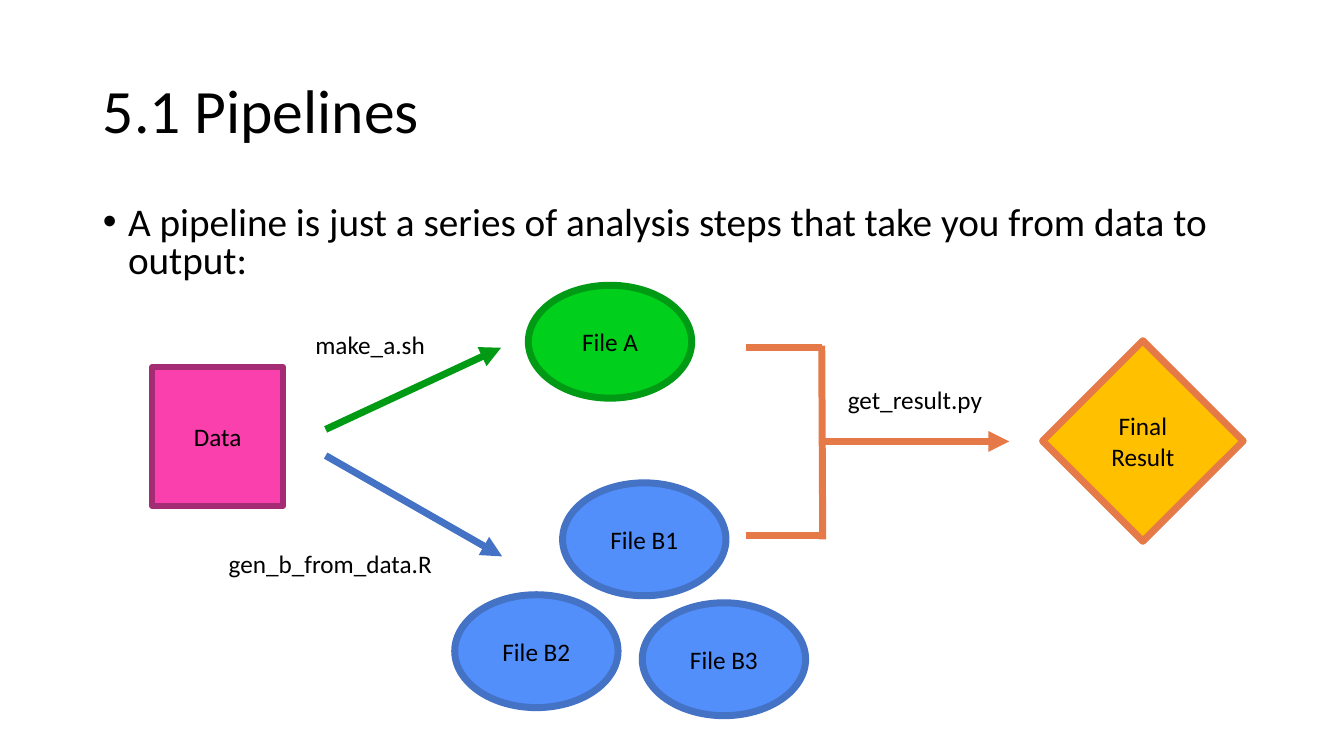
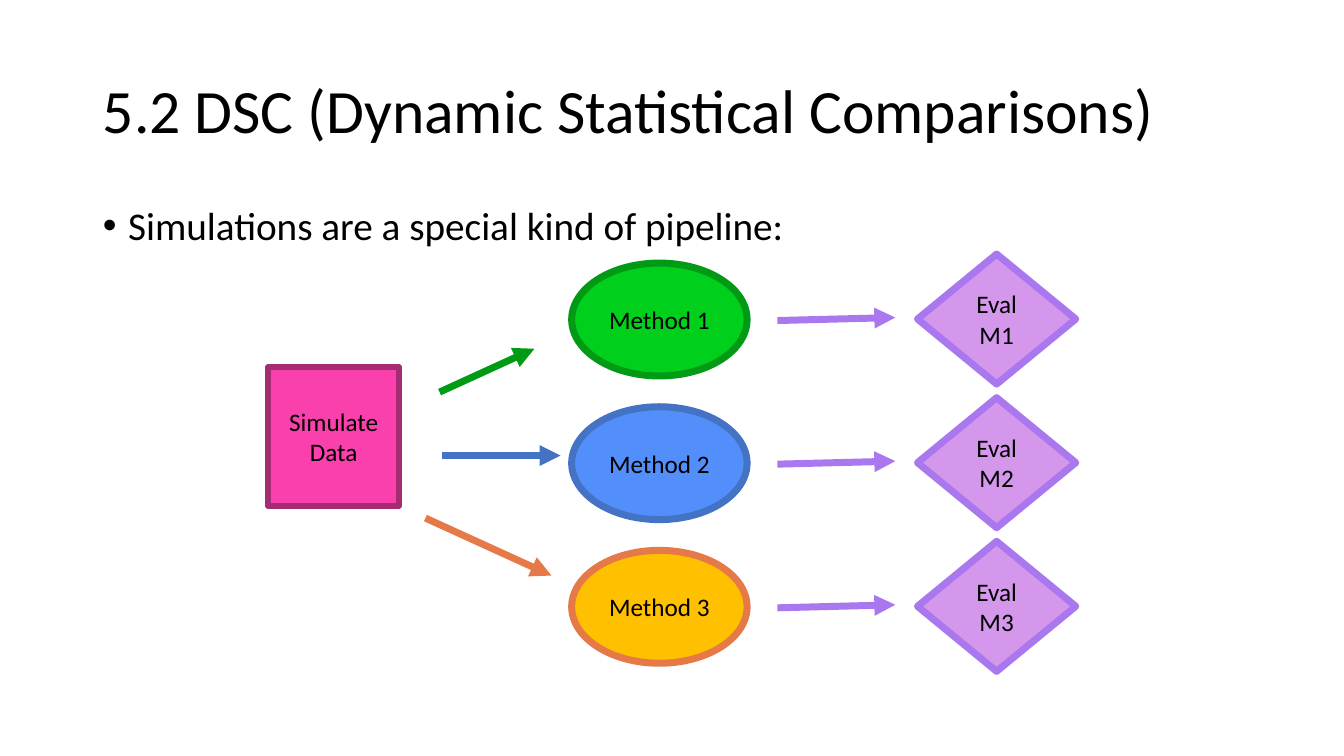
from lxml import etree
from pptx import Presentation
from pptx.dml.color import RGBColor
from pptx.enum.shapes import MSO_CONNECTOR, MSO_SHAPE
from pptx.enum.text import MSO_ANCHOR, MSO_AUTO_SIZE, PP_ALIGN
from pptx.oxml.ns import qn
from pptx.util import Inches, Pt

RECT, OVAL, DIAMOND = MSO_SHAPE.RECTANGLE, MSO_SHAPE.OVAL, MSO_SHAPE.DIAMOND
STRAIGHT = MSO_CONNECTOR.STRAIGHT
LEFT, CENTER = PP_ALIGN.LEFT, PP_ALIGN.CENTER
TOP, MIDDLE = MSO_ANCHOR.TOP, MSO_ANCHOR.MIDDLE
NO_FIT, GROW = MSO_AUTO_SIZE.NONE, MSO_AUTO_SIZE.SHAPE_TO_FIT_TEXT

FONT = "Calibri"
BLACK = RGBColor(0x00, 0x00, 0x00)
DARK_GREEN = RGBColor(0x00, 0x9A, 0x15)
DARK_BLUE = RGBColor(0x44, 0x72, 0xC4)
ORANGE = RGBColor(0xE5, 0x7A, 0x48)
PURPLE = RGBColor(0xA9, 0x78, 0xEE)
# Each pair is a fill and its outline.
PINK_BOX = (RGBColor(0xFA, 0x40, 0xAC), RGBColor(0xA4, 0x2C, 0x74))
GREEN_BOX = (RGBColor(0x00, 0xCF, 0x1B), DARK_GREEN)
BLUE_BOX = (RGBColor(0x52, 0x8F, 0xFB), DARK_BLUE)
GOLD_BOX = (RGBColor(0xFF, 0xC0, 0x00), ORANGE)
PURPLE_BOX = (RGBColor(0xD4, 0x97, 0xEC), PURPLE)

DATA_SIZE = (1.3, 1.38)
FILE_SIZE = (1.62, 1.12)
METHOD_SIZE = (1.74, 1.12)
EVAL_SIZE = (1.57, 1.29)


def write(sp, text, size=18, align=LEFT, anchor=TOP, wrap=True, fit=NO_FIT,
          spacing=None, before=None):
    """Fill a shape with text, one paragraph per line."""
    tf = sp.text_frame
    tf.word_wrap, tf.auto_size, tf.vertical_anchor = wrap, fit, anchor
    for i, line in enumerate(text.split("\n")):
        p = tf.add_paragraph() if i else tf.paragraphs[0]
        p.alignment, p.line_spacing = align, spacing
        if before is not None:
            p.space_before = Pt(before)
        r = p.add_run()
        r.text = line
        r.font.name, r.font.size, r.font.color.rgb = FONT, Pt(size), BLACK


def place(sp, left, top, width, height):
    """Move a placeholder to a box given in inches."""
    sp.left, sp.top = Inches(left), Inches(top)
    sp.width, sp.height = Inches(width), Inches(height)


def add_page(prs, title, bullet, body_box, spacing):
    """Add a slide with its title and one bullet; return the slide."""
    s = prs.slides.add_slide(prs.slide_layouts[1])
    heading, body = s.shapes.title, s.placeholders[1]
    place(heading, 0.92, 0.4, 11.5, 1.45)
    write(heading, title, size=44, anchor=MIDDLE, spacing=0.9)
    place(body, *body_box)
    write(body, bullet, size=28, spacing=spacing, before=10)
    pPr = body.text_frame.paragraphs[0]._p.get_or_add_pPr()
    pPr.set("marL", str(Inches(0.25)))
    pPr.set("indent", str(-Inches(0.25)))
    return s


def add_node(group, kind, left, top, size, colors, text, weight=5):
    """Add an outlined shape with centred text."""
    sp = group.shapes.add_shape(kind, Inches(left), Inches(top),
                                Inches(size[0]), Inches(size[1]))
    sp.shadow.inherit = False
    sp.fill.solid()
    sp.fill.fore_color.rgb, sp.line.color.rgb = colors
    sp.line.width = Pt(weight)
    write(sp, text, align=CENTER, anchor=MIDDLE)


def add_line(group, x1, y1, x2, y2, color, arrow=True):
    """Add a straight line, with an arrowhead at its end by default."""
    c = group.shapes.add_connector(STRAIGHT, Inches(x1), Inches(y1),
                                   Inches(x2), Inches(y2))
    c.line.color.rgb, c.line.width = color, Pt(5)
    spPr = c._element.spPr
    if arrow:
        etree.SubElement(spPr.find(qn("a:ln")), qn("a:tailEnd"), type="triangle")
    etree.SubElement(spPr, qn("a:effectLst"))


def add_label(group, left, top, width, text):
    """Add a one-line script name."""
    sp = group.shapes.add_textbox(Inches(left), Inches(top),
                                  Inches(width), Inches(0.4))
    write(sp, text, wrap=False, fit=GROW)


def draw_pipeline(s, x, y):
    """Draw the data, files and result flow from its top left corner."""
    g = s.shapes.add_group_shape()
    add_node(g, RECT, x, y + 0.81, DATA_SIZE, PINK_BOX, "Data", weight=4)
    for dx, dy, colors, text in [
            (3.73, 0, GREEN_BOX, "File A"), (3, 3.07, BLUE_BOX, "File B2"),
            (4.07, 1.96, BLUE_BOX, "File B1"), (4.86, 3.15, BLUE_BOX, "File B3")]:
        add_node(g, OVAL, x + dx, y + dy, FILE_SIZE, colors, text)
    for x1, y1, x2, y2, color, arrow in [
            (1.72, 1.43, 3.46, 0.62, DARK_GREEN, True),
            (1.72, 1.69, 3.47, 2.69, DARK_BLUE, True),
            (6.65, 1.55, 8.5, 1.55, ORANGE, True),
            (5.89, 0.62, 6.64, 0.62, ORANGE, False),
            (6.64, 0.6, 6.65, 2.52, ORANGE, False),
            (5.89, 2.48, 6.64, 2.48, ORANGE, False)]:
        add_line(g, x + x1, y + y1, x + x2, y + y2, color, arrow)
    for dx, dy, width, text in [(1.52, 0.39, 1.3, "make_a.sh"),
                                (0.66, 2.56, 2.24, "gen_b_from_data.R"),
                                (6.8, 0.93, 1.55, "get_result.py")]:
        add_label(g, x + dx, y + dy, width, text)
    add_node(g, DIAMOND, x + 8.83, y + 0.55, (1.99, 1.99), GOLD_BOX, "Final Result")


def draw_comparison(s, x, y):
    """Draw the simulation flow, one row per method, from its top left corner."""
    g = s.shapes.add_group_shape()
    add_node(g, RECT, x, y + 1.12, DATA_SIZE, PINK_BOX, "Simulate\nData", weight=4)
    rows = [(GREEN_BOX, (1.7, 1.37, 2.64, 0.94)),
            (BLUE_BOX, (1.72, 2, 2.9, 2)),
            (GOLD_BOX, (1.56, 2.62, 2.81, 3.19))]
    for i, (colors, (x1, y1, x2, y2)) in enumerate(rows):
        top = y + i * 1.425
        add_line(g, x + x1, y + y1, x + x2, y + y2, colors[1])
        add_node(g, OVAL, x + 3.01, top + 0.09, METHOD_SIZE, colors, f"Method {i + 1}")
        add_line(g, x + 5.05, top + 0.66, x + 6.22, top + 0.63, PURPLE)
        add_node(g, DIAMOND, x + 6.44, top, EVAL_SIZE, PURPLE_BOX, f"Eval M{i + 1}")


prs = Presentation()
prs.slide_width, prs.slide_height = Inches(13.33), Inches(7.5)

s = add_page(prs, "5.1 Pipelines",
             "A pipeline is just a series of analysis steps that take you "
             "from data to output:", (0.92, 2, 11.16, 0.85), 0.8)
draw_pipeline(s, 1.51, 2.83)

s = add_page(prs, "5.2 DSC (Dynamic Statistical Comparisons)",
             "Simulations are a special kind of pipeline:", (0.92, 2, 11.5, 0.6), 0.9)
draw_comparison(s, 2.66, 2.52)

prs.save("out.pptx")
